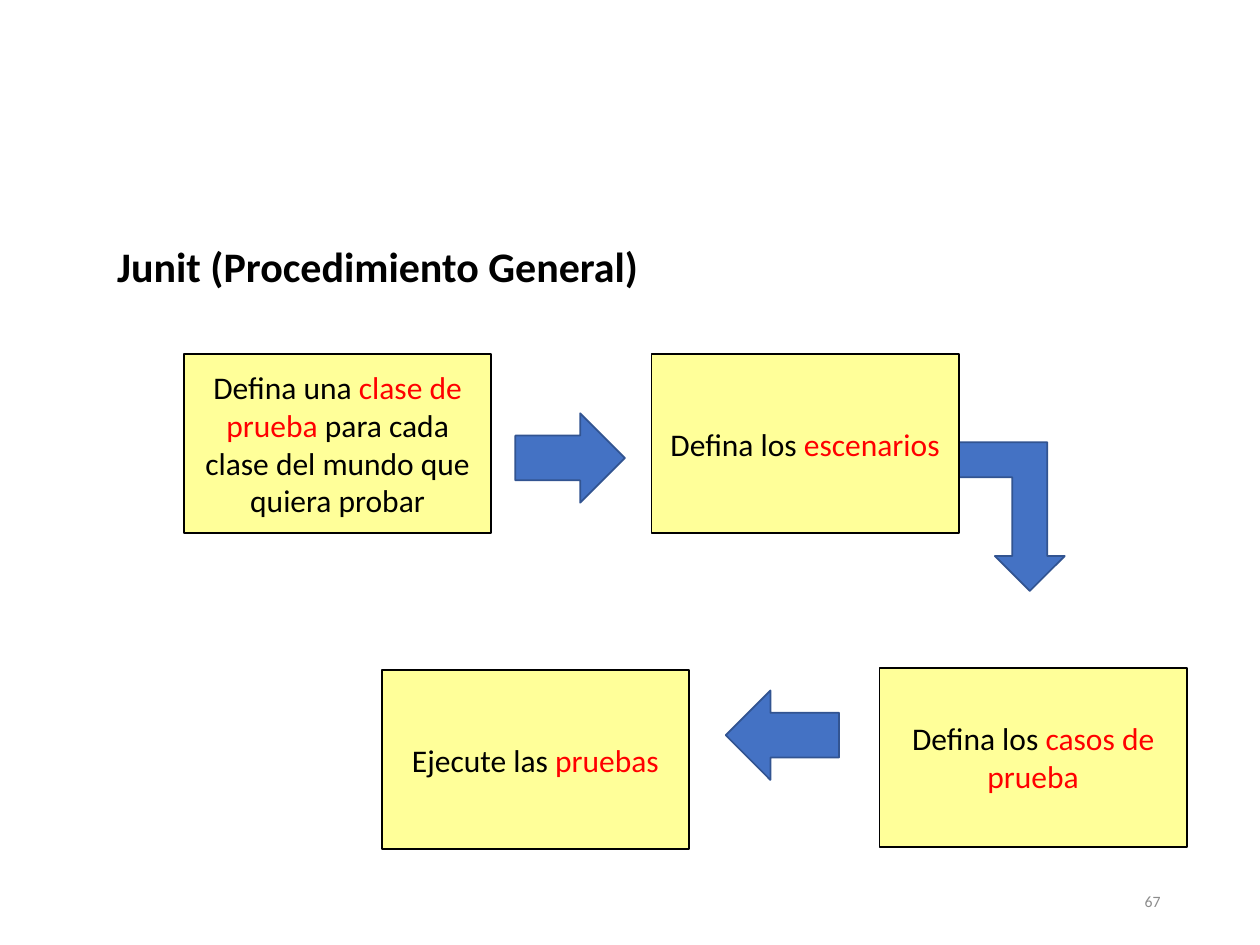
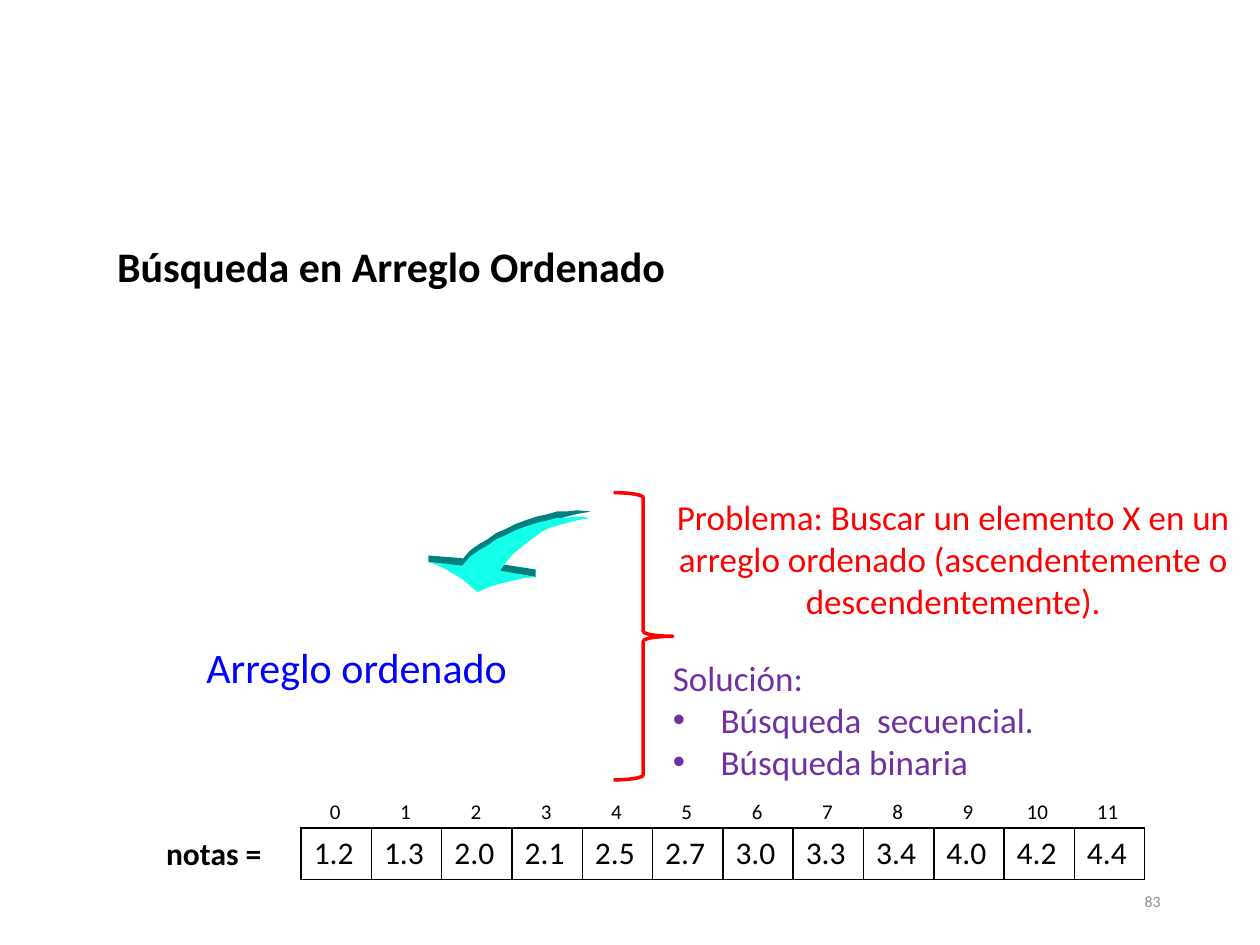
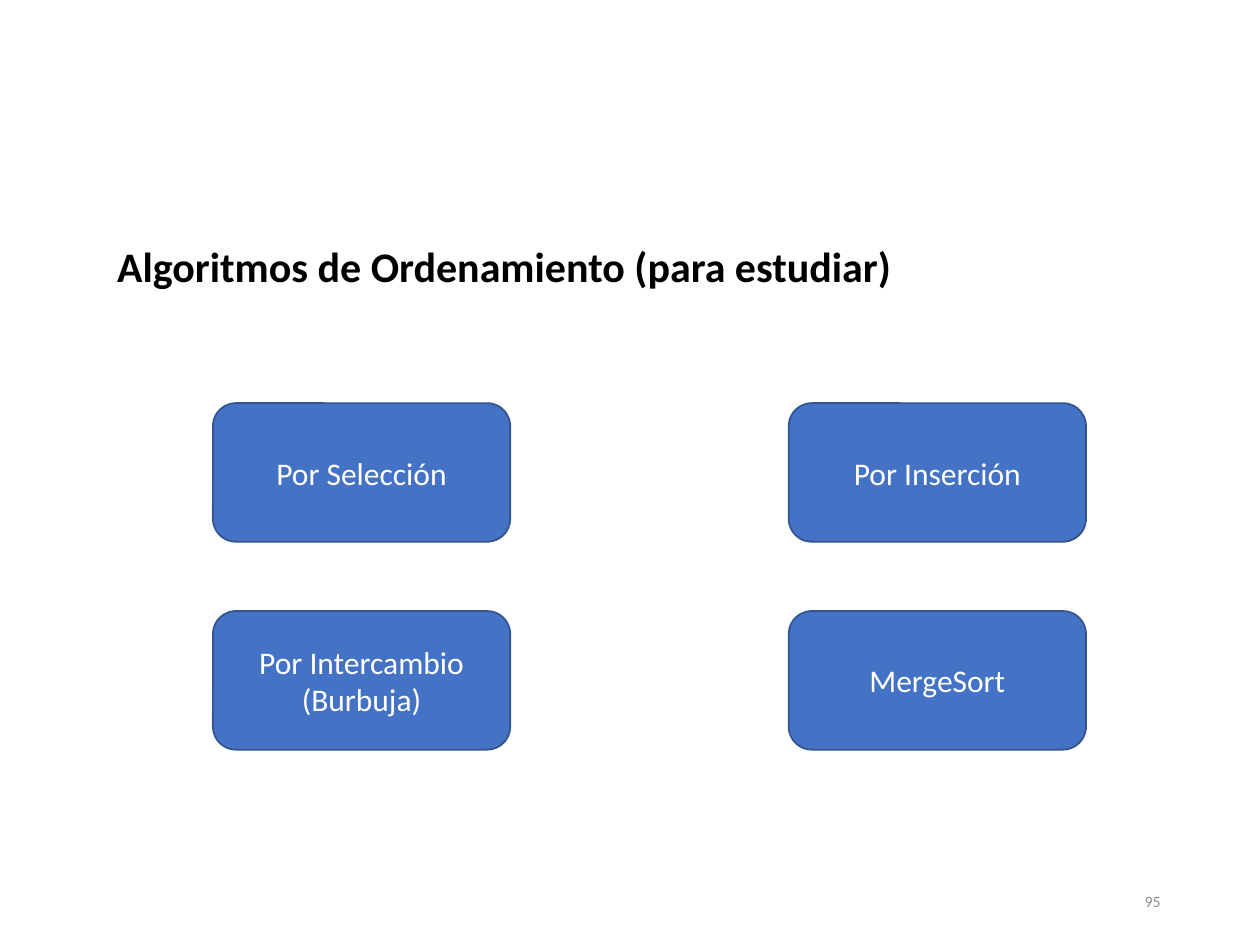
from lxml import etree
from pptx import Presentation
from pptx import util as u
from pptx.dml.color import RGBColor
from pptx.enum import shapes, text
from pptx.oxml.ns import qn

# Shared style
FONT = "Calibri"
BLACK = RGBColor(0x00, 0x00, 0x00)
WHITE = RGBColor(0xFF, 0xFF, 0xFF)
RED = RGBColor(0xFF, 0x00, 0x00)
BLUE = RGBColor(0x00, 0x00, 0xFF)
PURPLE = RGBColor(0x70, 0x30, 0xA0)
GREY = RGBColor(0x8C, 0x8C, 0x8C)
YELLOW = RGBColor(0xFF, 0xFF, 0x99)
ACCENT = RGBColor(0x44, 0x72, 0xC4)
ACCENT_EDGE = RGBColor(0x32, 0x54, 0x91)
TEAL = RGBColor(0x00, 0x80, 0x80)
CYAN = RGBColor(0x13, 0xFF, 0xE9)

# The slide is a grid of 100 columns by 75 rows of square cells
CELL = u.Inches(0.1)
COLUMNS, ROWS = 100, 75
LAYOUT_BODY, LAYOUT_TITLE = 1, 5
SHAPE = shapes.MSO_SHAPE
ALIGN = text.PP_ALIGN
ANCHOR = text.MSO_ANCHOR

# Array on the search slide
GRADES = ["1.2", "1.3", "2.0", "2.1", "2.5", "2.7",
          "3.0", "3.3", "3.4", "4.0", "4.2", "4.4"]
GRADE_WIDTH = 5.58

# Curved arrow, in hundredths of an inch; the dark copy lies above the light one
ARROW_OUTLINE = [
    (469, 411), (458, 410), (450, 411), (442, 411), (435, 413), (426, 415),
    (417, 418), (409, 421), (401, 425), (394, 428), (387, 433), (380, 437),
    (373, 442), (367, 449), (340, 446), (348, 449), (354, 452), (359, 455),
    (366, 459), (372, 464), (379, 470), (388, 466), (398, 463), (407, 461),
    (415, 459), (425, 458), (397, 453), (401, 447), (407, 440), (414, 434),
    (422, 428), (430, 422), (436, 419), (443, 417), (450, 415), (458, 413),
    (469, 411)]
ARROW_DEPTH = 5
RIGHT_SIDE = [(425, 452), (425, 458), (397, 453), (397, 451), (399, 448)]
LEFT_SIDE = [(340, 441), (340, 446), (367, 450), (367, 443)]


def grid(*cells):
    return [round(cell * CELL) for cell in cells]


def place(shape, *cells):
    shape.left, shape.top, shape.width, shape.height = grid(*cells)


def add_run(paragraph, words, size, color, bold=False):
    run = paragraph.add_run()
    run.text = words
    font = run.font
    font.name, font.size, font.bold = FONT, u.Pt(size), bold
    font.color.rgb = color


def start_slide(presentation, layout, title, number, title_width=53.5):
    slide = presentation.slides.add_slide(presentation.slide_layouts[layout])
    heading = slide.shapes.title
    place(heading, 8.3, 18.6, title_width, 5)
    frame = heading.text_frame
    frame.auto_size = text.MSO_AUTO_SIZE.NONE
    frame.vertical_anchor = ANCHOR.TOP
    frame.paragraphs[0].alignment = ALIGN.LEFT
    add_run(frame.paragraphs[0], title, 24, BLACK, bold=True)
    add_text(slide, (70.6, 69.5, 22.5, 4), number, 9, GREY,
             align=ALIGN.RIGHT, anchor=ANCHOR.MIDDLE)
    return slide


def add_text(slide, cells, words, size, color, bold=False, wrap=True,
             align=ALIGN.LEFT, anchor=ANCHOR.TOP):
    frame = slide.shapes.add_textbox(*grid(*cells)).text_frame
    frame.word_wrap = wrap
    frame.vertical_anchor = anchor
    paragraph = frame.paragraphs[0]
    paragraph.alignment = align
    add_run(paragraph, words, size, color, bold)


def add_block(slide, kind, cells, fill=ACCENT, edge=ACCENT_EDGE, runs=()):
    shape = slide.shapes.add_shape(kind, *grid(*cells))
    shape.shadow.inherit = False
    shape.fill.solid()
    shape.fill.fore_color.rgb = fill
    shape.line.color.rgb = edge
    shape.line.width = u.Pt(1)
    frame = shape.text_frame
    frame.word_wrap = True
    frame.vertical_anchor = ANCHOR.MIDDLE
    frame.paragraphs[0].alignment = ALIGN.CENTER
    for words, color in runs:
        add_run(frame.paragraphs[0], words, 18, color)
    return shape


def add_outline(slide, points, fill):
    builder = slide.shapes.build_freeform(*points[0], scale=u.Inches(0.01))
    builder.add_line_segments(points[1:], close=True)
    shape = builder.convert_to_shape()
    shape.shadow.inherit = False
    shape.fill.solid()
    shape.fill.fore_color.rgb = fill
    shape.line.fill.background()


def add_brace(slide, cells):
    brace = slide.shapes.add_shape(SHAPE.RIGHT_BRACE, *grid(*cells))
    brace.shadow.inherit = False
    brace.fill.background()
    brace.line.color.rgb = RED
    brace.line.width = u.Pt(2)


def fill_list(body, cells, lead, items, color):
    place(body, *cells)
    frame = body.text_frame
    frame.auto_size = text.MSO_AUTO_SIZE.NONE
    for position, words in enumerate([lead] + items):
        paragraph = frame.add_paragraph() if position else frame.paragraphs[0]
        indent = u.Inches(0.38) if position else 0
        properties = paragraph._p.get_or_add_pPr()
        properties.set("marL", str(indent))
        properties.set("indent", str(-indent))
        if position:
            etree.SubElement(properties, qn("a:buChar")).set("char", "•")
        else:
            etree.SubElement(properties, qn("a:buNone"))
        paragraph.space_before = u.Pt(0)
        add_run(paragraph, words, 20, color)


def set_borders(cell):
    properties = cell._tc.get_or_add_tcPr()
    for position, side in enumerate(("lnL", "lnR", "lnT", "lnB")):
        line = etree.Element(qn("a:" + side), w=str(u.Pt(1)))
        fill = etree.SubElement(line, qn("a:solidFill"))
        etree.SubElement(fill, qn("a:srgbClr")).set("val", str(BLACK))
        properties.insert(position, line)


def add_array(slide, left, top, values):
    frame = slide.shapes.add_table(
        1, len(values), *grid(left, top, GRADE_WIDTH * len(values), 4.1))
    table = frame.table
    table.first_row = table.horz_banding = False
    for index, value in enumerate(values):
        table.columns[index].width = grid(GRADE_WIDTH)[0]
        cell = table.cell(0, index)
        cell.fill.background()
        set_borders(cell)
        add_run(cell.text_frame.paragraphs[0], value, 18, BLACK)
        # Index above the cell
        label_width = 2.9 if index < 10 else 3.7
        offset = 1.3 if index < 10 else 0.8
        add_text(slide, (left + offset + index * GRADE_WIDTH, top - 2.8,
                         label_width, 3), str(index), 12, BLACK, wrap=False)


def build_procedure(presentation):
    slide = start_slide(presentation, LAYOUT_TITLE,
                        "Junit (Procedimiento General)", "67")
    # The bent arrow starts behind the second box
    bent = add_block(slide, SHAPE.BENT_UP_ARROW, (73.4, 35.1, 11.1, 11.8))
    bent.rotation = 180
    bent._element.spPr.find(qn("a:xfrm")).set("flipH", "1")

    steps = [
        (14.6, 28.1, [("Defina una ", BLACK), ("clase de prueba ", RED),
                      ("para cada clase del mundo que quiera probar", BLACK)]),
        (51.7, 28.1, [("Defina los ", BLACK), ("escenarios", RED)]),
        (69.8, 53, [("Defina los ", BLACK), ("casos de prueba", RED)]),
        (30.3, 53.2, [("Ejecute las ", BLACK), ("pruebas", RED)]),
    ]
    for left, top, runs in steps:
        add_block(slide, SHAPE.RECTANGLE, (left, top, 24.4, 14.2),
                  YELLOW, BLACK, runs)
    add_block(slide, SHAPE.RIGHT_ARROW, (40.9, 32.8, 8.7, 7.1))
    add_block(slide, SHAPE.LEFT_ARROW, (57.6, 54.8, 9, 7.1))


def build_search(presentation):
    slide = start_slide(presentation, LAYOUT_BODY,
                        "Búsqueda en Arreglo Ordenado", "83")
    # Curved arrow
    back = [(x, y - ARROW_DEPTH) for x, y in ARROW_OUTLINE]
    for points in (back, RIGHT_SIDE, LEFT_SIDE):
        add_outline(slide, points, TEAL)
    add_outline(slide, ARROW_OUTLINE, CYAN)

    # Problem and solution
    add_text(slide, (15.4, 50.4, 26.1, 5), "Arreglo ordenado", 24, BLUE,
             wrap=False)
    add_text(slide, (52.4, 38.8, 46.5, 11.1),
             "Problema: Buscar un elemento X en un arreglo ordenado "
             "(ascendentemente o descendentemente).", 20, RED,
             align=ALIGN.CENTER)
    fill_list(slide.placeholders[1], (52.4, 51.6, 34.2, 11.1), "Solución:",
              ["Búsqueda  secuencial.", "Búsqueda binaria"], PURPLE)
    add_brace(slide, (48.7, 39.1, 4.7, 22.8))

    # Array of grades
    add_text(slide, (12.2, 65.7, 10.9, 4), "notas =", 18, BLACK, bold=True,
             wrap=False)
    add_array(slide, 23.9, 65.7, GRADES)


def build_sorting(presentation):
    slide = start_slide(presentation, LAYOUT_TITLE,
                        "Algoritmos de Ordenamiento (para estudiar)", "95",
                        title_width=70.1)
    algorithms = ["Por Selección", "Por Inserción",
                  "Por Intercambio (Burbuja)", "MergeSort"]
    for index, name in enumerate(algorithms):
        row, column = divmod(index, 2)
        add_block(slide, SHAPE.ROUNDED_RECTANGLE,
                  (16.9 + 45.7 * column, 32 + 16.5 * row, 23.6, 11),
                  runs=[(name, WHITE)])


def main():
    presentation = Presentation()
    presentation.slide_width, presentation.slide_height = grid(COLUMNS, ROWS)
    build_procedure(presentation)
    build_search(presentation)
    build_sorting(presentation)
    presentation.save("out.pptx")


if __name__ == "__main__":
    main()
